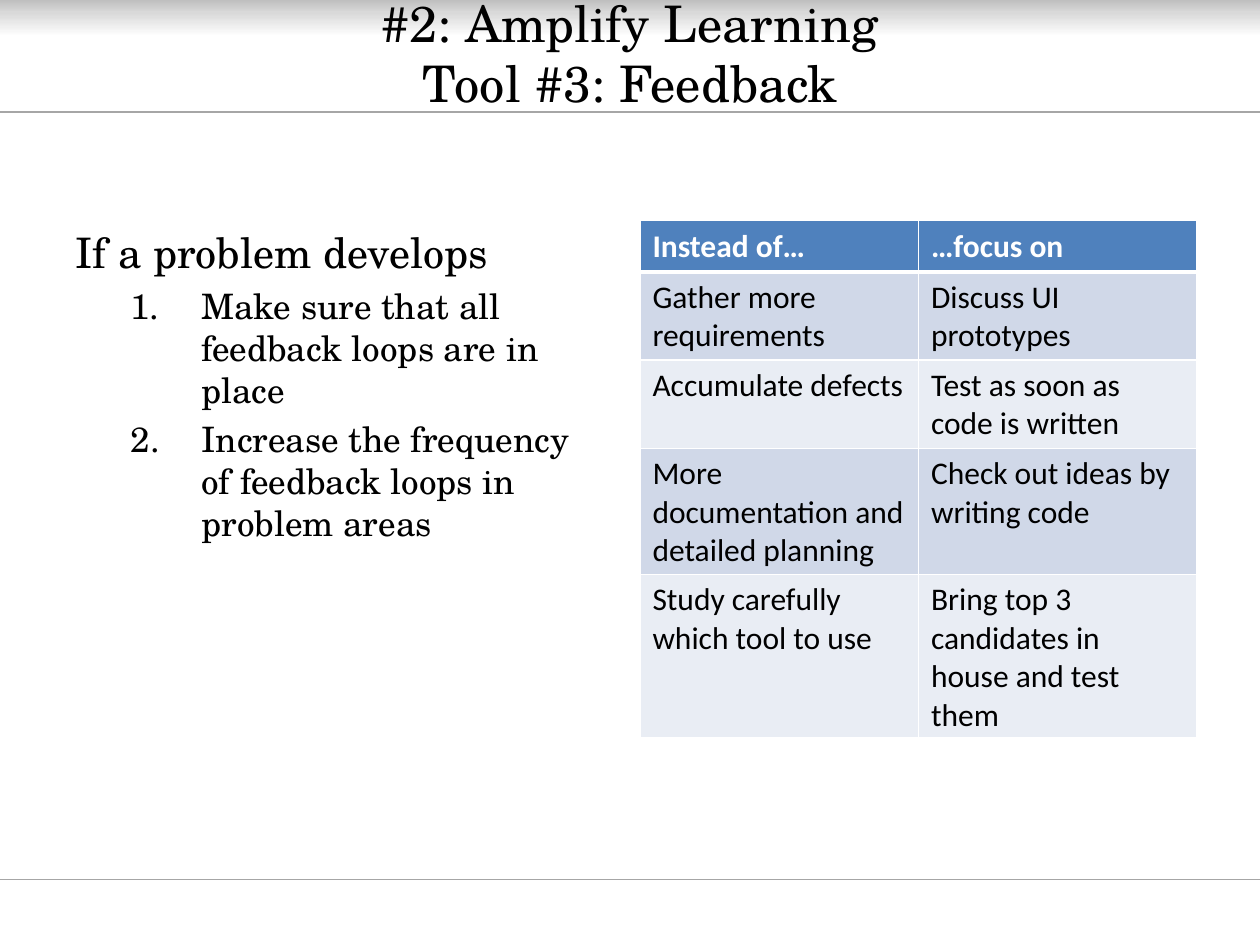
from copy import deepcopy
from dataclasses import dataclass

from lxml import etree
from pptx import Presentation
from pptx.dml.color import RGBColor
from pptx.enum.shapes import MSO_CONNECTOR, MSO_SHAPE
from pptx.enum.text import MSO_ANCHOR, MSO_AUTO_SIZE, PP_ALIGN
from pptx.oxml.ns import qn
from pptx.util import Cm, Pt

STRAIGHT = MSO_CONNECTOR.STRAIGHT
RECTANGLE = MSO_SHAPE.RECTANGLE
MIDDLE, TOP = MSO_ANCHOR.MIDDLE, MSO_ANCHOR.TOP
NO_FIT = MSO_AUTO_SIZE.NONE
CENTER, LEFT = PP_ALIGN.CENTER, PP_ALIGN.LEFT
TITLE_ONLY = 5
SLIDE_WIDTH, SLIDE_HEIGHT = Cm(25.4), Cm(19.05)


@dataclass(frozen=True)
class Theme:
    """Colours, fonts and type sizes of the slide."""
    serif: str = "TeX Gyre Schola"
    sans: str = "Calibri"
    ink: str = "000000"
    paper: str = "FFFFFF"
    rule: str = "A6A6A6"
    header: str = "4F81BD"
    bands: tuple = ("D0D8E8", "E9EDF4")
    fade: tuple = ((0, "BFBFBF"), (0.34, "D9D9D9"), (1, "FFFFFF"))
    title: float = 28.8
    lead: float = 24
    step: float = 20
    cell: float = 18


@dataclass(frozen=True)
class Line:
    """One paragraph of the body text."""
    text: str
    size: float
    numbered: bool = False


THEME = Theme()
RULES = (Cm(17.73), Cm(2.26))
BODY = (
    Line("If a problem develops", THEME.lead),
    Line("Make sure that all feedback loops are in place", THEME.step, True),
    Line("Increase the frequency of feedback loops in problem areas", THEME.step, True),
)
ROWS = (
    ("Instead of…", "…focus on"),
    ("Gather more requirements", "Discuss UI prototypes "),
    ("Accumulate defects", "Test as soon as code is written"),
    ("More documentation and detailed planning", "Check out ideas by writing code"),
    ("Study carefully which tool to use", "Bring top 3 candidates in house and test them"),
)


def rgb(value: str) -> RGBColor:
    """Turn a hex string into a colour."""
    return RGBColor.from_string(value)


def style(paragraph, face: str, size: float, color: str, bold: bool = False) -> None:
    """Set the font of a whole paragraph."""
    font = paragraph.font
    font.name, font.size, font.bold = face, Pt(size), bold
    font.color.rgb = rgb(color)


def add_band(page) -> None:
    """Draw the fading band along the top edge."""
    band = page.shapes.add_shape(RECTANGLE, 0, 0, SLIDE_WIDTH, Cm(0.74))
    band.shadow.inherit = False
    band.line.fill.background()
    band.fill.gradient()
    band.fill.gradient_angle = 270
    stop_list = band._element.spPr.find(".//" + qn("a:gsLst"))
    stop_list.append(deepcopy(stop_list[-1]))
    for stop, (position, color) in zip(band.fill.gradient_stops, THEME.fade):
        stop.position = position
        stop.color.rgb = rgb(color)


def add_rule(page, top: int) -> None:
    """Draw a thin line across the slide."""
    rule = page.shapes.add_connector(STRAIGHT, 0, top, SLIDE_WIDTH, top)
    rule.line.color.rgb = rgb(THEME.rule)
    rule.line.width = Pt(0.75)
    etree.SubElement(rule._element.spPr, qn("a:effectLst"))


def set_title(page, text: str) -> None:
    """Place and format the title in front of the band."""
    title = page.shapes.title
    title.left, title.top, title.width, title.height = Cm(1.27), Cm(0.08), Cm(22.86), Cm(1.96)
    page.shapes._spTree.append(title._element)
    frame = title.text_frame
    frame.text = text
    frame.vertical_anchor = MIDDLE
    frame.auto_size = NO_FIT
    para = frame.paragraphs[0]
    para.alignment = CENTER
    style(para, THEME.serif, THEME.title, THEME.ink)


def number(paragraph) -> None:
    """Give a paragraph a hanging automatic number."""
    paragraph.level = 1
    properties = paragraph._p.get_or_add_pPr()
    properties.set("marL", str(Cm(2.54)))
    properties.set("indent", str(-Cm(1.42)))
    etree.SubElement(properties, qn("a:buFont"), typeface="+mj-lt")
    etree.SubElement(properties, qn("a:buAutoNum"), type="arabicPeriod")


def add_body(page, lines: tuple[Line, ...]) -> None:
    """Write the lead line and its numbered steps."""
    box = page.shapes.add_textbox(Cm(1.27), Cm(4.45), Cm(11.23), Cm(12.57))
    frame = box.text_frame
    frame.word_wrap = True
    frame.vertical_anchor = TOP
    for index, line in enumerate(lines):
        para = frame.add_paragraph() if index else frame.paragraphs[0]
        para.text = line.text
        para.alignment = LEFT
        para.space_before = Pt(line.size * 0.2)
        if line.numbered:
            number(para)
        style(para, THEME.serif, line.size, THEME.ink)


def add_borders(cell, bottom: float, top: float) -> None:
    """Draw white borders round a table cell."""
    properties = cell._tc.get_or_add_tcPr()
    widths = {"lnL": 1, "lnR": 1, "lnT": top, "lnB": bottom}
    for index, (edge, width) in enumerate(widths.items()):
        border = etree.Element(qn("a:" + edge), w=str(Pt(width)))
        fill = etree.SubElement(border, qn("a:solidFill"))
        etree.SubElement(fill, qn("a:srgbClr"), val=THEME.paper)
        properties.insert(index, border)


def add_comparison(page, rows: tuple[tuple[str, ...], ...]) -> None:
    """Build the table of habits and their replacements."""
    columns = len(rows[0])
    width, row_height = Cm(11.23), Cm(1.03)
    table = page.shapes.add_table(
        len(rows), columns, Cm(12.9), Cm(4.45), width, row_height * len(rows)
    ).table
    for row_index, texts in enumerate(rows):
        header = row_index == 0
        fill = THEME.header if header else THEME.bands[(row_index - 1) % 2]
        for column_index, text in enumerate(texts):
            cell = table.cell(row_index, column_index)
            cell.text = text
            cell.fill.solid()
            cell.fill.fore_color.rgb = rgb(fill)
            add_borders(cell, 3 if header else 1, 3 if row_index == 1 else 1)
            color = THEME.paper if header else THEME.ink
            style(cell.text_frame.paragraphs[0], THEME.sans, THEME.cell, color, header)


def main() -> None:
    """Build the slide and save the deck."""
    deck = Presentation()
    deck.slide_width, deck.slide_height = SLIDE_WIDTH, SLIDE_HEIGHT
    page = deck.slides.add_slide(deck.slide_layouts[TITLE_ONLY])
    add_band(page)
    for top in RULES:
        add_rule(page, top)
    set_title(page, "#2: Amplify Learning\vTool #3: Feedback")
    add_body(page, BODY)
    add_comparison(page, ROWS)
    deck.save("out.pptx")


main()
